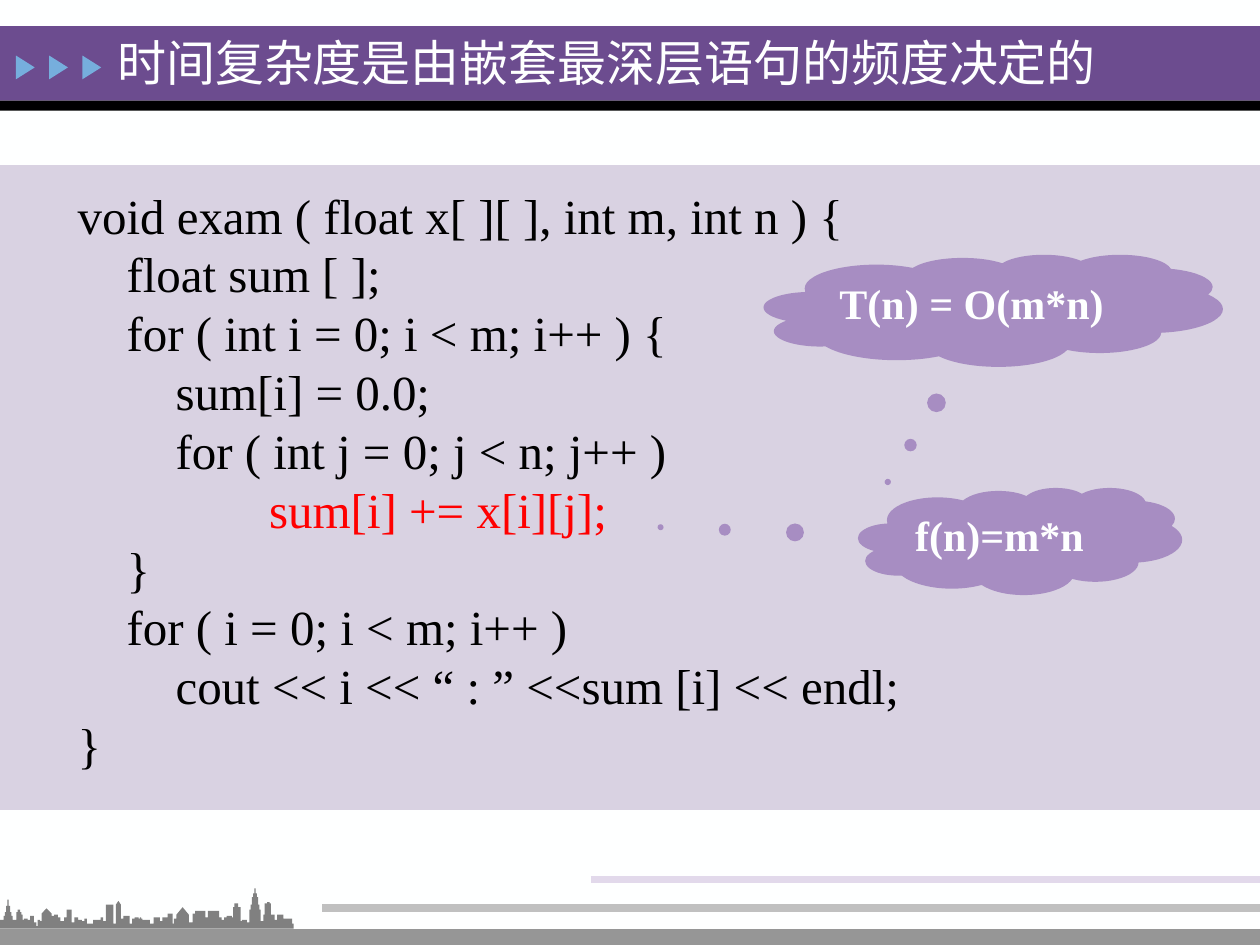
import pptx
import pptx.util
import pptx.dml.color
import pptx.enum.shapes
import pptx.enum.text
import pptx.oxml.ns
from lxml import etree

Cm = pptx.util.Cm
Pt = pptx.util.Pt
SHAPE = pptx.enum.shapes.MSO_SHAPE
TEXT = pptx.enum.text
qn = pptx.oxml.ns.qn

# Page and palette
WIDE, HIGH = 25.4, 19.05
WHITE, BLACK, RED = "FEFFFF", "000000", "FF0000"
VIOLET, LILAC, BLUE = "6C4C8F", "A78DC2", "76AEDD"
DARK, GREY, SILVER, PALE = "808080", "969696", "C0C0C0", "E2D9EB"

# Wording
TITLE = "时间复杂度是由嵌套最深层语句的频度决定的"
DEEP = "    sum[i] += x[i][j];"  # the innermost statement
CODE = [
    " void exam ( float x[ ][ ], int m, int n ) {",
    "     float sum [ ];",
    "     for ( int i = 0; i < m; i++ ) {",
    "         sum[i] = 0.0;",
    "         for ( int j = 0; j < n; j++ )",
    DEEP,
    "     }",
    "     for ( i = 0; i < m; i++ )",
    "         cout << i << “ : ” <<sum [i] << endl;",
    " }",
]

# Thought clouds: text, box, where the tail points
CLOUDS = [
    ("f(n)=m*n", (17.3, 9.83, 6.53, 2.16), (-1.11, -0.13)),
    ("T(n) = O(m*n)", (15.4, 5.13, 9.25, 2.26), (-0.23, 1.53)),
]

# Footer rules, each running to the right edge: left, top, colour, width
RULES = [
    (0, 18.92, GREY, 11.25),
    (6.5, 18.31, SILVER, 4.5),
    (11.91, 17.73, PALE, 4.5),
]


def spire(*rises):
    """Steps of width 1 up to the last rise, then mirrored down."""
    return [(1, rise) for rise in rises + rises[-2::-1]]


# Skyline in units of 1/100 inch: each roof is (width, rise),
# or (width, rise, peak) for a gable
UNIT = Cm(0.0254)
GROUND = 737
WEST = [
    (3, 7), *spire(10, 13, 18, 23), (3, 7), (1, 13), (2, 15), (1, 13),
    (1, 11), (1, 7), (3, 8), (2, 7), (3, 10), (2, 5), (1, 2), (2, 7), (1, 6),
    (8, 12, 16), (2, 10), (3, 11), (2, 9), (3, 6), (2, 9), (4, 15), (2, 5),
    (3, 9), (3, 7), (2, 6), (2, 8), (5, 4), (6, 7), (2, 9), (2, 6),
]
MID = [
    (6, 19), (2, 4), (4, 19, 22), (2, 8), (5, 10), (2, 4), (2, 8), (3, 9),
    (1, 8), (1, 9), (1, 8), (6, 7), (3, 4), (5, 9), (2, 6), (4, 9), (4, 12),
    (1, 4), (2, 8), (10, 11, 17), (3, 5), (2, 12), (8, 14), (2, 9), (9, 14),
    (2, 9), (2, 7), (2, 9), (4, 10), (1, 9),
]
EAST = [
    (1, 17), (3, 20), (2, 17), (1, 6), (4, 7), (2, 5),
    *spire(15, 19, 25, 28, 32), (2, 6), (1, 11), (2, 20), (2, 21), (1, 20),
    (3, 11), (2, 7), (5, 11), (7, 8), (1, 4),
]


def tint(text):
    return pptx.dml.color.RGBColor.from_string(text)


class Deck:
    face = "Times New Roman"
    large = 28  # title and code
    small = 24  # clouds

    def __init__(self, slide):
        self.slide = slide
        self.shapes = slide.shapes
        fill = slide.background.fill
        fill.solid()
        fill.fore_color.rgb = tint(WHITE)

    def font(self, font, size, color, bold=False):
        font.name = self.face
        font.size = Pt(size)
        font.bold = bold
        font.color.rgb = tint(color)

    def paint(self, shape, color):
        shape.shadow.inherit = False
        shape.fill.solid()
        shape.fill.fore_color.rgb = tint(color)
        shape.line.fill.background()

    def shape(self, kind, box, color):
        shape = self.shapes.add_shape(kind, *map(Cm, box))
        self.paint(shape, color)
        return shape

    def band(self, top, height, color, alpha=100):
        """A bar across the whole slide; alpha is its opacity in percent."""
        bar = self.shape(SHAPE.RECTANGLE, (0, top, WIDE, height), color)
        if alpha < 100:
            node = bar._element.spPr.find(".//" + qn("a:srgbClr"))
            etree.SubElement(node, qn("a:alpha"), val=str(alpha * 1000))

    def place(self, holder, box, anchor, fit):
        """Move a placeholder to the box and to the front."""
        holder.left, holder.top, holder.width, holder.height = map(Cm, box)
        self.shapes._spTree.append(holder._element)
        frame = holder.text_frame
        frame.word_wrap = True
        frame.vertical_anchor = anchor
        frame.auto_size = fit
        return frame

    def title(self, text, box):
        frame = self.place(self.shapes.title, box, TEXT.MSO_ANCHOR.MIDDLE,
                           TEXT.MSO_AUTO_SIZE.NONE)
        par = frame.paragraphs[0]
        par.text = text
        par.alignment = TEXT.PP_ALIGN.LEFT
        self.font(par.font, self.large, WHITE)

    def code(self, lines, deep, box):
        """List the lines; the deep one is red and indented."""
        frame = self.place(self.slide.placeholders[1], box,
                           TEXT.MSO_ANCHOR.TOP,
                           TEXT.MSO_AUTO_SIZE.SHAPE_TO_FIT_TEXT)
        frame.margin_left = frame.margin_right = Cm(0.3)
        frame.margin_top = frame.margin_bottom = Cm(0.15)
        for i, line in enumerate(lines):
            par = frame.add_paragraph() if i else frame.paragraphs[0]
            indent, color = (3.12, RED) if line == deep else (0, BLACK)
            props = par._p.get_or_add_pPr()
            props.set("marL", str(int(Cm(indent))))
            props.set("indent", "0")
            etree.SubElement(props, qn("a:buNone"))
            par.line_spacing = 1.0
            par.space_before = Pt(0)
            self.font(par.font, self.large, color)
            par.text = line

    def cloud(self, text, box, tail):
        shape = self.shape(SHAPE.CLOUD_CALLOUT, box, LILAC)
        shape.adjustments[0], shape.adjustments[1] = tail
        frame = shape.text_frame
        frame.word_wrap = True
        frame.vertical_anchor = TEXT.MSO_ANCHOR.TOP
        par = frame.paragraphs[0]
        par.text = text
        par.alignment = TEXT.PP_ALIGN.LEFT
        self.font(par.font, self.small, WHITE, True)

    def rule(self, left, top, color, width):
        kind = pptx.enum.shapes.MSO_CONNECTOR.STRAIGHT
        ends = map(Cm, (left, top, WIDE, top))
        line = self.shapes.add_connector(kind, *ends)
        line.line.color.rgb = tint(color)
        line.line.width = Pt(width)
        etree.SubElement(line._element.spPr, qn("a:effectLst"))

    def skyline(self, roofs, color):
        """Walk along the roofs from the left edge, then close the outline."""
        points, left = [], 0
        for width, rise, *peak in roofs:
            right = left + width
            points.append((left, GROUND - rise))
            points += [(left + width / 2, GROUND - top) for top in peak]
            points.append((right, GROUND - rise))
            left = right
        points.append((left, GROUND))
        pen = self.shapes.build_freeform(0, GROUND, scale=UNIT)
        pen.add_line_segments(points, close=True)
        self.paint(pen.convert_to_shape(), color)


def main():
    show = pptx.Presentation()
    show.slide_width, show.slide_height = Cm(WIDE), Cm(HIGH)
    deck = Deck(show.slides.add_slide(show.slide_layouts[1]))

    # Header: band, edge and three arrows
    deck.band(0.53, 1.5, VIOLET)
    deck.band(2.03, 0.2, BLACK)
    for i in range(3):
        box = (0.27 + 0.67 * i, 1.17, 0.48, 0.38)
        deck.shape(SHAPE.ISOSCELES_TRIANGLE, box, BLUE).rotation = 90

    # Panel, code and title
    deck.band(3.33, 13, VIOLET, alpha=25)
    deck.code(CODE, DEEP, (1.02, 3.58, 23.93, 12.27))
    deck.title(TITLE, (2.11, 0.53, 20.47, 1.45))

    # Thought clouds
    for cloud in CLOUDS:
        deck.cloud(*cloud)

    # Footer
    for rule in RULES:
        deck.rule(*rule)
    deck.skyline(WEST + MID + EAST, DARK)

    show.save("out.pptx")


if __name__ == "__main__":
    main()
